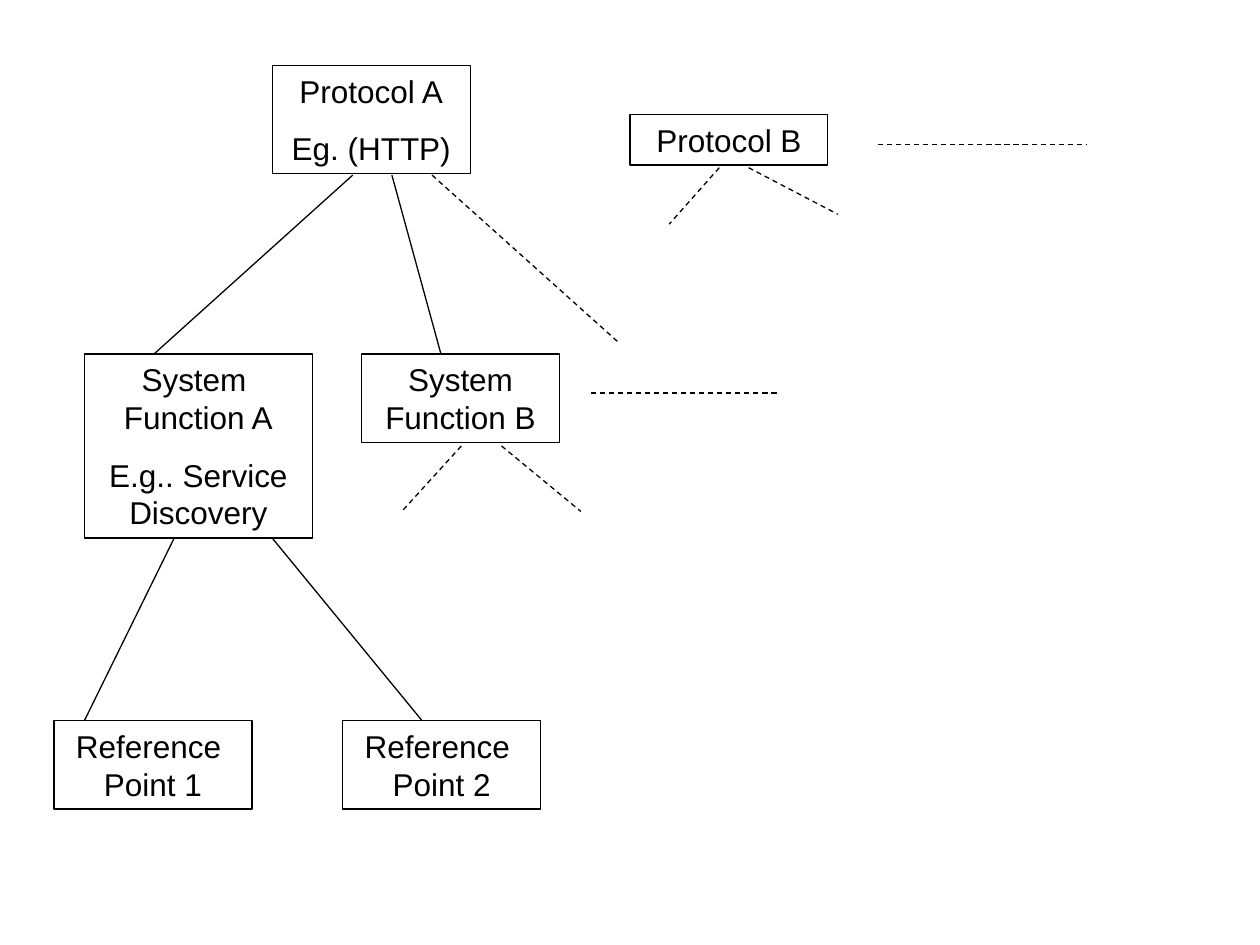
import pptx
import pptx.dml.color
import pptx.enum.dml
import pptx.enum.shapes
import pptx.enum.text
import pptx.oxml.ns
import pptx.util
from lxml import etree

Cm = pptx.util.Cm
Pt = pptx.util.Pt
BLACK = pptx.dml.color.RGBColor(0x00, 0x00, 0x00)

WIDE = 3.99      # usual box width
TALL = 1.78      # height of a two-line box
FUNC_Y = 7.14    # top of the function row
REF_Y = 14.53    # top of the reference row


class Tree:
    def __init__(self, slide, font="Arial", size=18, line=0.75, gap=11.2):
        self.slide = slide
        self.font = font
        self.size = size
        self.line = line
        self.gap = gap

    def box(self, left, top, width, height, *texts):
        shape = self.slide.shapes.add_shape(
            pptx.enum.shapes.MSO_SHAPE.RECTANGLE,
            Cm(left), Cm(top), Cm(width), Cm(height))
        shape.shadow.inherit = False
        shape.fill.background()
        shape.line.color.rgb = BLACK
        shape.line.width = Pt(self.line)
        frame = shape.text_frame
        frame.word_wrap = True
        frame.auto_size = pptx.enum.text.MSO_AUTO_SIZE.SHAPE_TO_FIT_TEXT
        frame.vertical_anchor = pptx.enum.text.MSO_ANCHOR.TOP
        for i, text in enumerate(texts):
            para = frame.add_paragraph() if i else frame.paragraphs[0]
            para.alignment = pptx.enum.text.PP_ALIGN.CENTER
            if i:
                para.space_before = Pt(self.gap)
            run = para.add_run()
            run.text = text
            run.font.name = self.font
            run.font.size = Pt(self.size)
            run.font.color.rgb = BLACK

    def link(self, x1, y1, x2, y2, dash=False):
        link = self.slide.shapes.add_connector(
            pptx.enum.shapes.MSO_CONNECTOR.STRAIGHT,
            Cm(x1), Cm(y1), Cm(x2), Cm(y2))
        link.line.color.rgb = BLACK
        link.line.width = Pt(self.line)
        if dash:
            link.line.dash_style = pptx.enum.dml.MSO_LINE.DASH
        etree.SubElement(link._element.spPr, pptx.oxml.ns.qn("a:effectLst"))


def main():
    deck = pptx.Presentation()
    deck.slide_width, deck.slide_height = Cm(25.4), Cm(19.05)
    tree = Tree(deck.slides.add_slide(deck.slide_layouts[6]))

    tree.box(5.49, 1.32, WIDE, 2.18, "Protocol A", "Eg. (HTTP)")
    tree.box(12.7, 2.31, WIDE, 1.02, "Protocol B")
    tree.box(1.7, FUNC_Y, 4.6, 3.71,
             "System  Function A", "E.g.. Service Discovery")
    tree.box(7.29, FUNC_Y, WIDE, TALL, "System Function B")
    for num, left in enumerate((1.09, 6.91), 1):
        tree.box(left, REF_Y, WIDE, TALL, f"Reference  Point {num}")

    # Known branches
    for top, low, ends in (
            (3.53, FUNC_Y, ((7.11, 3.1), (7.9, 8.89))),
            (10.85, REF_Y, ((3.51, 1.7), (5.49, 8.51)))):
        for start, end in ends:
            tree.link(start, top, end, low)

    # Further branches and siblings
    for ends in (
            (17.7, 2.92, 21.89, 2.92),
            (11.91, 7.92, 15.7, 7.92),
            (14.5, 3.38, 13.49, 4.52),
            (15.09, 3.38, 16.89, 4.32),
            (8.71, 3.53, 12.5, 6.93),
            (9.3, 8.99, 8.1, 10.31),
            (10.11, 8.99, 11.71, 10.31)):
        tree.link(*ends, dash=True)

    deck.save("out.pptx")


if __name__ == "__main__":
    main()
